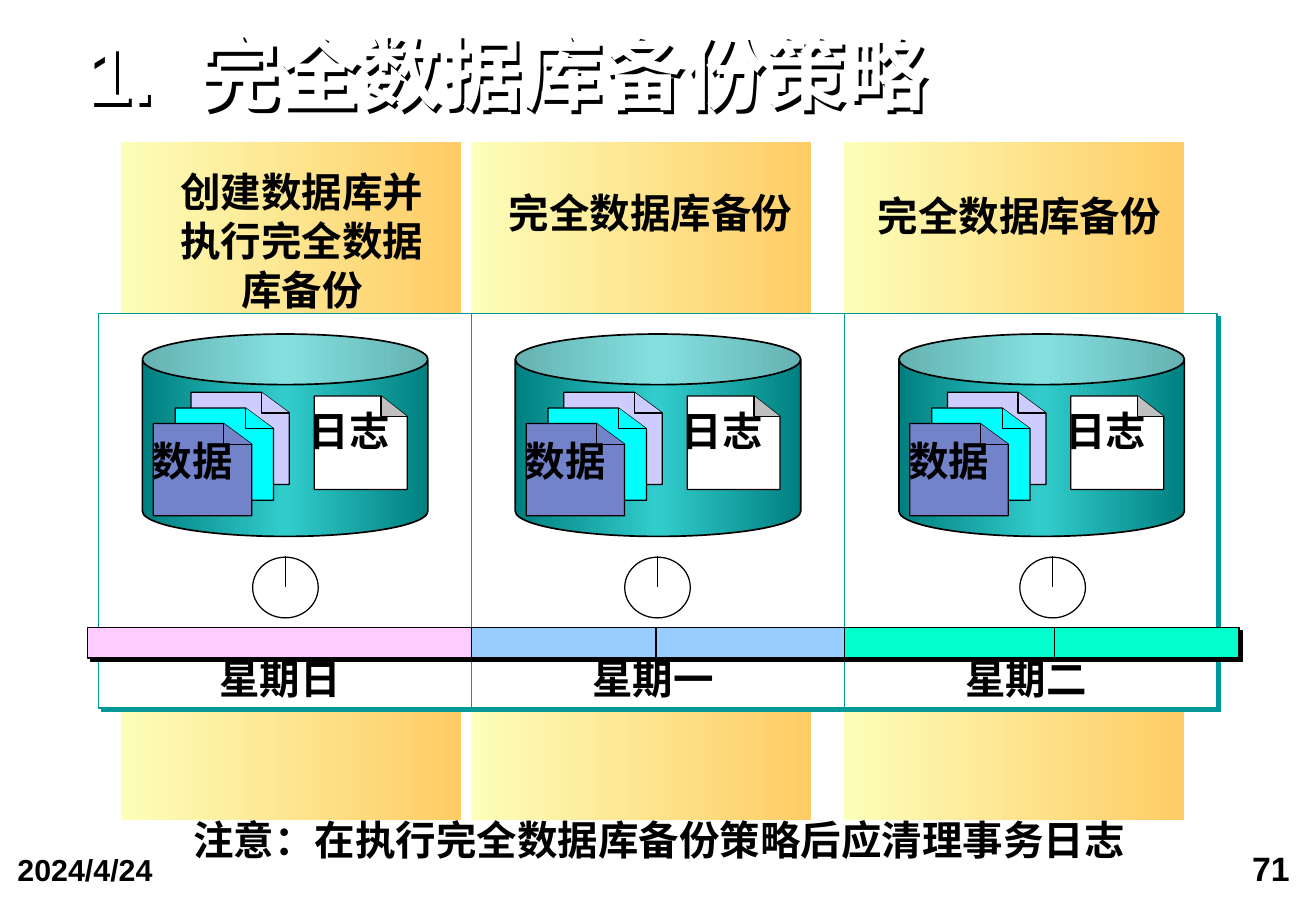
from dataclasses import dataclass
from typing import Optional

from lxml.etree import SubElement
from pptx import Presentation
from pptx.dml.color import RGBColor
from pptx.enum.shapes import MSO_CONNECTOR, MSO_SHAPE
from pptx.enum.text import MSO_ANCHOR, MSO_AUTO_SIZE, PP_ALIGN
from pptx.oxml.ns import qn
from pptx.util import Pt

COLOURS = {
    "black": "000000", "white": "FFFFFF", "grey": "C0C0C0", "teal": "009999",
    "pale yellow": "FCFEB9", "amber": "FFCC66",
    "dark teal": "008080", "light teal": "33CCCC",
    "pink": "FFCCFF", "sky": "99CCFF", "mint": "00FFCC",
    "lavender": "CCCCFF", "cyan": "00FFFF", "indigo": "7283CA",
}
CJK_FONT = "Noto Sans CJK SC"
THIN = 0.75
GROW = {"auto_size": MSO_AUTO_SIZE.SHAPE_TO_FIT_TEXT}
NO_MARGINS = {f"margin_{side}": 0 for side in ("left", "top", "right", "bottom")}
FOOTER = {"margin_left": Pt(9.36), "margin_right": Pt(9.36),
          "margin_top": Pt(4.32), "margin_bottom": Pt(4.32)}


@dataclass(frozen=True)
class Label:
    text: str
    left: float
    top: float
    width: float
    height: float
    font: str = CJK_FONT
    size: float = 24
    align: PP_ALIGN = PP_ALIGN.CENTER
    wrap: bool = False
    tail_size: Optional[float] = None


@dataclass(frozen=True)
class Day:
    name: str
    stripe_left: float
    panel_left: float
    bar_left: float
    bar_width: float
    bar_colour: str
    can_left: float
    clock_left: float
    tick: Optional[float]
    heading: Label


@dataclass(frozen=True)
class Page:
    """A sheet with a folded corner, placed relative to its cylinder."""
    offset: float
    top: float
    width: float
    height: float
    fold_width: float
    colour: str
    fold_colour: str


DAYS = [
    Day("星期日 ", 71.6, 58.32, 51.84, 227.52, "pink", 84.4, 149.76, None,
        Label("创建数据库并执行完全数据库备份", 90.72, 95.76, 176.4, 93.6, wrap=True)),
    Day("星期一 ", 279.36, 279.36, 279.36, 221.04, "sky", 305.4, 370.3, 388.8,
        Label("完全数据库备份", 290, 103.68, 197.28, 41.04, tail_size=28)),
    Day("星期二 ", 500.4, 500.4, 500.4, 234, "mint", 532.8, 604.5, 624.96,
        Label("完全数据库备份 ", 512.2, 109.44, 189.36, 36, font="Times New Roman")),
]
DATA_PAGES = [
    Page(offset, top, 58.32, 54.72, 16.56, colour, colour)
    for offset, top, colour in ((28.8, 232.56, "lavender"), (19.44, 241.92, "cyan"),
                                (6.48, 251.1, "indigo"))
]
LOG_PAGE = Page(101.9, 234.72, 55.08, 55.44, 15.48, "white", "grey")
FOLD_HEIGHT = 12.24
FOOTNOTE = Label("注意：在执行完全数据库备份策略后应清理事务日志", 107.5, 479.52, 617.04, 36,
                 font="Arial", align=PP_ALIGN.LEFT)
FOOTERS = [
    Label("71", 576.5, 498.24, 197.28, 41.76, "Arial", 20, PP_ALIGN.RIGHT, True),
    Label("2024/4/24", 1, 500, 180.72, 45.36, "Arial", 18, PP_ALIGN.LEFT, True),
]


def rgb(colour: str) -> RGBColor:
    return RGBColor.from_string(COLOURS[colour])


def set_attributes(target, values: dict) -> None:
    for name, value in values.items():
        setattr(target, name, value)


def add_run(paragraph, text: str, font: str, size: float, colour: str = "black"):
    run = paragraph.add_run()
    run.text = text
    set_attributes(run.font, {"name": font, "size": Pt(size), "bold": True})
    run.font.color.rgb = rgb(colour)
    SubElement(run.font._element, qn("a:ea"), typeface=CJK_FONT)
    return run


def set_line(shape, colour: Optional[str], width: float = THIN) -> None:
    if colour is None:
        shape.line.fill.background()
    else:
        shape.line.color.rgb = rgb(colour)
        shape.line.width = Pt(width)


def add_shape(slide, kind, left: float, top: float, width: float, height: float,
              fill: Optional[str] = None, line: Optional[str] = "black",
              line_width: float = THIN):
    shape = slide.shapes.add_shape(kind, Pt(left), Pt(top), Pt(width), Pt(height))
    shape.shadow.inherit = False
    if fill:
        shape.fill.solid()
        shape.fill.fore_color.rgb = rgb(fill)
    set_line(shape, line, line_width)
    return shape


def fill_gradient(shape, colours: list[str]) -> None:
    """Spread the colours evenly from left to right."""
    shape.fill.gradient()
    shape.fill.gradient_angle = 0
    stops = shape.element.spPr.find(f".//{qn('a:gsLst')}")
    for stop in list(stops):
        stops.remove(stop)
    for index, colour in enumerate(colours):
        position = 100000 * index // (len(colours) - 1)
        stop = SubElement(stops, qn("a:gs"), pos=str(position))
        SubElement(stop, qn("a:srgbClr"), val=COLOURS[colour])


def add_hard_shadow(shape, colour: str) -> None:
    shape.shadow.inherit = False
    effects = shape.element.spPr.find(qn("a:effectLst"))
    shadow = SubElement(effects, qn("a:outerShdw"), blurRad="0", dist=str(Pt(2.8)),
                        dir="2700000", algn="ctr", rotWithShape="0")
    SubElement(shadow, qn("a:srgbClr"), val=COLOURS[colour])


def add_label(slide, label: Label, margins: Optional[dict] = None) -> None:
    box = slide.shapes.add_textbox(Pt(label.left), Pt(label.top),
                                   Pt(label.width), Pt(label.height))
    set_attributes(box.text_frame, {"word_wrap": label.wrap, **(margins or GROW)})
    paragraph = box.text_frame.paragraphs[0]
    paragraph.alignment = label.align
    add_run(paragraph, label.text, label.font, label.size)
    if label.tail_size:
        add_run(paragraph, " ", label.font, label.tail_size)


def add_line(slide, x: float, top: float, bottom: float) -> None:
    line = slide.shapes.add_connector(MSO_CONNECTOR.STRAIGHT,
                                      Pt(x), Pt(top), Pt(x), Pt(bottom))
    SubElement(line.element.spPr, qn("a:effectLst"))
    set_line(line, "black")


def add_outline(slide, points: list[tuple[float, float]], colour: str, close: bool) -> None:
    start, *rest = [(Pt(x), Pt(y)) for x, y in points]
    builder = slide.shapes.build_freeform(*start)
    builder.add_line_segments(rest, close=close)
    shape = builder.convert_to_shape()
    shape.shadow.inherit = False
    shape.fill.solid()
    shape.fill.fore_color.rgb = rgb(colour)
    set_line(shape, "black")


def add_page(slide, page: Page, can_left: float) -> None:
    left, top = can_left + page.offset, page.top
    right, bottom = left + page.width, top + page.height
    fold_left, fold_bottom = right - page.fold_width, top + FOLD_HEIGHT
    corner = [(fold_left, top), (right, fold_bottom)]
    add_outline(slide, [(left, top), *corner, (right, bottom), (left, bottom)],
                page.colour, True)
    add_outline(slide, [corner[0], (fold_left, fold_bottom), corner[1]],
                page.fold_colour, False)


def add_title(slide) -> None:
    title = slide.shapes.title
    set_attributes(title, {"left": Pt(51.12), "top": Pt(20.16),
                           "width": Pt(694.8), "height": Pt(51.84)})
    title.fill.background()
    add_hard_shadow(title, "black")
    set_attributes(title.text_frame, {"word_wrap": True, **NO_MARGINS, **GROW,
                                      "vertical_anchor": MSO_ANCHOR.BOTTOM})
    paragraph = title.text_frame.paragraphs[0]
    set_attributes(paragraph, {"alignment": PP_ALIGN.LEFT, "line_spacing": 0.9})
    for text, spacing in (("1.", 0), (" ", 1330), ("完全数据库备份策略", 0)):
        run = add_run(paragraph, text, "Arial", 48, "white")
        run.font._element.set("spc", str(spacing))


def add_panel(slide, day: Day) -> None:
    panel = add_shape(slide, MSO_SHAPE.RECTANGLE, day.panel_left, 185.76, 221.04, 234,
                      "white", "teal")
    add_hard_shadow(panel, "teal")
    set_attributes(panel.text_frame, {"word_wrap": False,
                                      "vertical_anchor": MSO_ANCHOR.BOTTOM})
    paragraph = panel.text_frame.paragraphs[0]
    paragraph.alignment = PP_ALIGN.CENTER
    add_run(paragraph, day.name, "Arial", 24)


def add_bar(slide, day: Day) -> None:
    bar = add_shape(slide, MSO_SHAPE.RECTANGLE, day.bar_left, 372, day.bar_width, 18,
                    day.bar_colour)
    add_hard_shadow(bar, "black")


def add_database(slide, day: Day) -> None:
    can = add_shape(slide, MSO_SHAPE.CAN, day.can_left, 198, 169.2, 120, line_width=1)
    fill_gradient(can, ["dark teal", "light teal", "dark teal"])
    for page in DATA_PAGES:
        add_page(slide, page, day.can_left)
    add_label(slide, Label("数据 ", day.can_left - 5, 254.88, 74.88, 36))
    add_page(slide, LOG_PAGE, day.can_left)
    add_label(slide, Label("日志 ", day.can_left + 88, 236.88, 74.88, 36))


def add_clock(slide, day: Day) -> None:
    add_shape(slide, MSO_SHAPE.OVAL, day.clock_left, 330.3, 38.88, 36, "white")
    add_line(slide, day.clock_left + 19.3, 329.76, 347.76)
    if day.tick:
        add_line(slide, day.tick, 372, 390)


def main() -> None:
    presentation = Presentation()
    presentation.slide_width, presentation.slide_height = Pt(780), Pt(540)
    slide = presentation.slides.add_slide(presentation.slide_layouts[5])
    for footer in FOOTERS:
        add_label(slide, footer, FOOTER)
    for day in DAYS:
        stripe = add_shape(slide, MSO_SHAPE.RECTANGLE, day.stripe_left, 84.24,
                           201.6, 401.76, line=None)
        fill_gradient(stripe, ["pale yellow", "amber"])
    add_title(slide)
    for day in DAYS:
        add_label(slide, day.heading)
    for draw in (add_panel, add_bar, add_clock, add_database):
        for day in DAYS:
            draw(slide, day)
    add_label(slide, FOOTNOTE)
    presentation.save("out.pptx")


if __name__ == "__main__":
    main()
